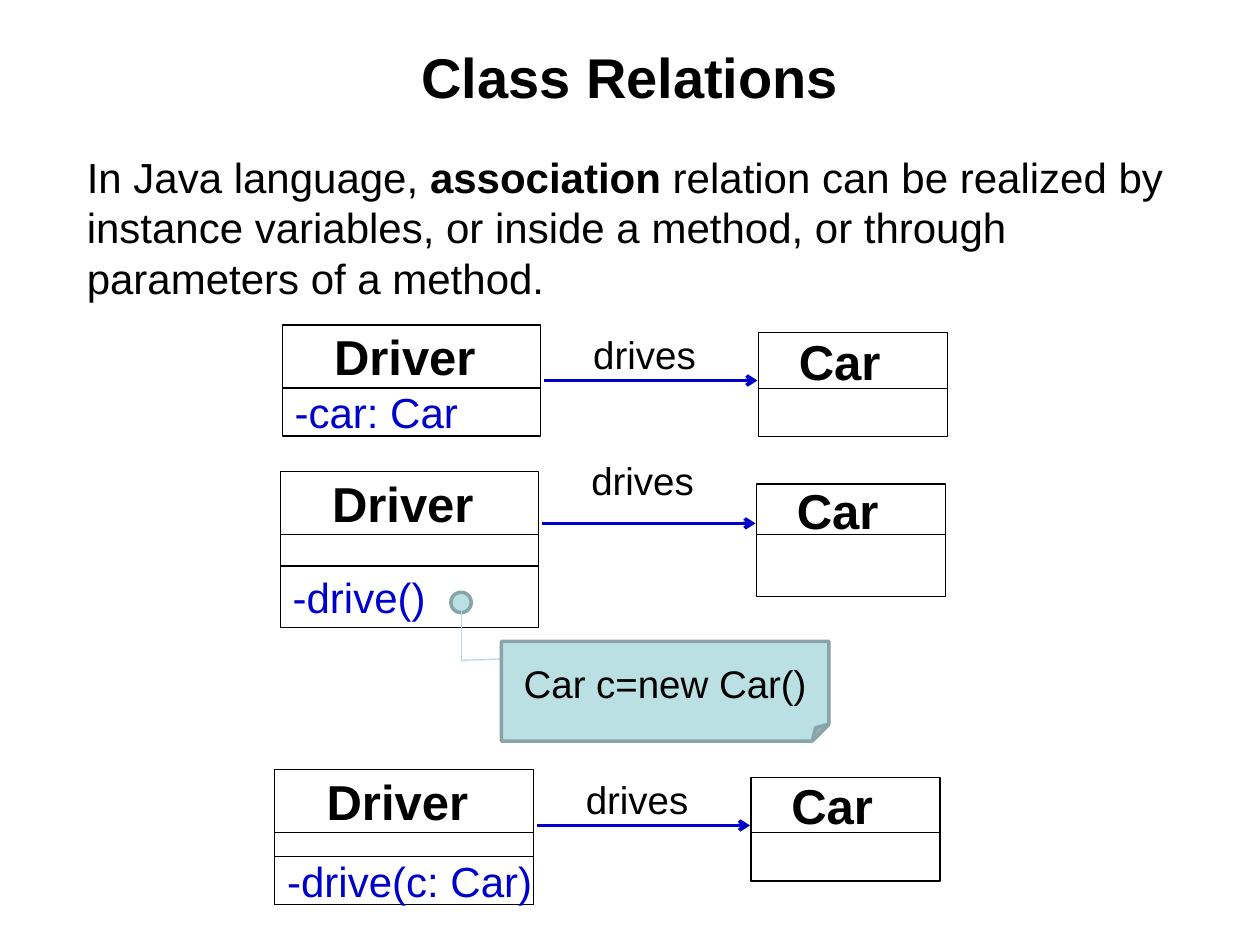
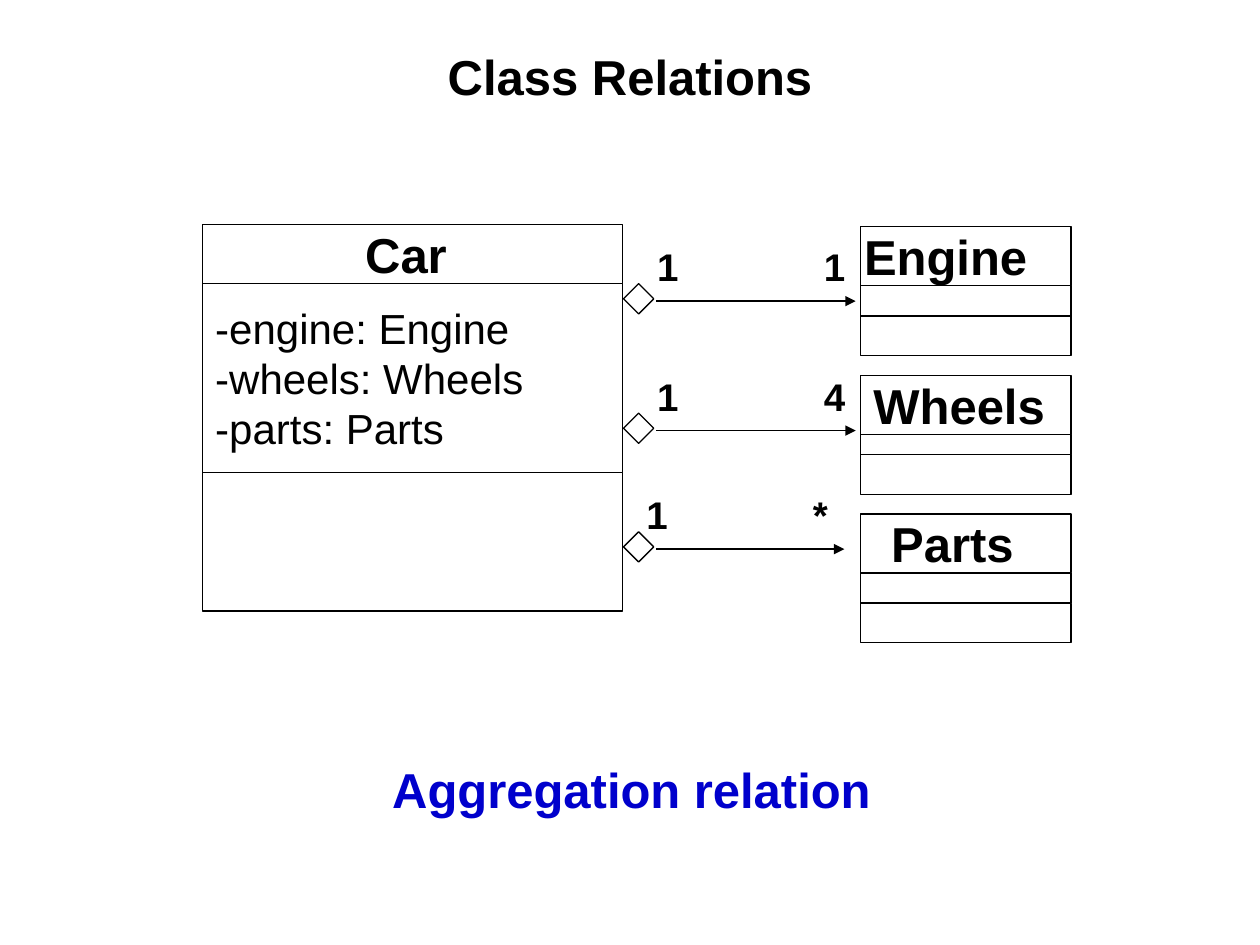
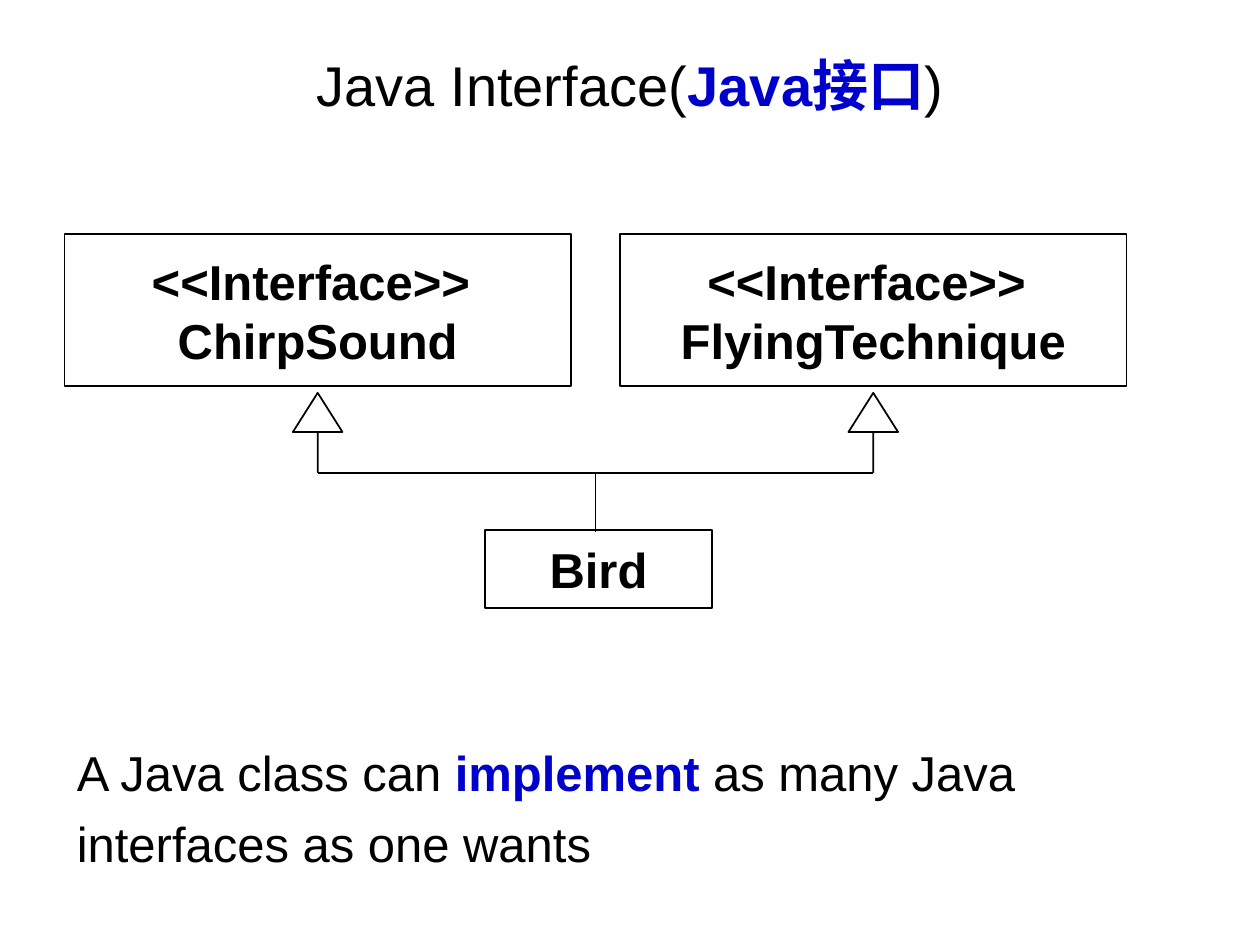
"""Builds three slides on class relations and interfaces in Java."""
from lxml import etree
from pptx import Presentation
from pptx.dml.color import RGBColor
from pptx.enum.shapes import MSO_CONNECTOR as Connector, MSO_SHAPE as Shape
from pptx.enum.text import MSO_ANCHOR as Anchor, PP_ALIGN as Align
from pptx.oxml.ns import qn
from pptx.util import Cm, Pt

FONT = "Arial"
BLACK, WHITE, BLUE = "000000", "FFFFFF", "0000CC"
NOTE_FILL, NOTE_EDGE, NOTE_LINK = "BBE0E3", "89A4A7", "B6DCDF"
SPACE_WIDTH = 0.27

ASSOCIATION = [[("In Java language, ", {}), ("association", {"bold": True}),
                (" relation can be realized by instance variables, or inside a method, "
                 "or through parameters of a method.", {})]]
DRIVES = [
    {"x": 5.69, "driver_y": 6.55, "driver": [("Driver", 1.27), ("-car: Car", 0.97)],
     "car_y": 6.71, "car": [("Car", 1.12), ("", 0.97)], "label_y": 6.55, "arrow_y": 7.67},
    {"x": 5.65, "driver_y": 9.5, "driver": [("Driver", 1.27), ("", 0.64), ("-drive()", 1.24)],
     "car_y": 9.76, "car": [("Car", 1.02), ("", 1.24)], "label_y": 9.09, "arrow_y": 10.55},
    {"x": 5.54, "driver_y": 15.52,
     "driver": [("Driver", 1.27), ("", 0.48), ("-drive(c: Car)", 0.97)],
     "car_y": 15.67, "car": [("Car", 1.12), ("", 0.97)], "label_y": 15.52, "arrow_y": 16.64},
]
WHOLE = [("Car", 1.19), ("-engine: Engine\n-wheels: Wheels\n-parts: Parts", 3.81), ("", 2.8)]
PARTS = [
    {"name": "Engine", "shift": 3, "y": 4.57, "fields": 0.61, "count": "1",
     "diamond_y": 5.72, "label_dx": 0, "arrow_end": 17.25},
    {"name": "Wheels", "shift": 1, "y": 7.57, "fields": 0.41, "count": "4",
     "diamond_y": 8.33, "label_dx": 0, "arrow_end": 17.25},
    {"name": "Parts", "shift": 2, "y": 10.36, "fields": 0.61, "count": "*",
     "diamond_y": 10.72, "label_dx": -0.22, "arrow_end": 17.02},
]
INTERFACES = [("ChirpSound", 1.3), ("FlyingTechnique", 12.5)]
INTERFACE_TITLE = [[("Java Interface(", {}), ("Java接口", {"bold": True, "color": BLUE}),
                    (")", {})]]
IMPLEMENT = [[("A Java class can ", {}), ("implement", {"bold": True, "color": BLUE}),
              (" as many Java", {})],
             [("interfaces as one wants", {})]]


def rgb(color):
    return RGBColor.from_string(color)


def write(shape, text, size=28, color=BLACK, bold=False, align=Align.LEFT,
          anchor=Anchor.TOP, wrap=True, insets=(0.25, 0.13, 0.25, 0.13),
          spacing=None, before=0):
    frame = shape.text_frame
    frame.word_wrap, frame.vertical_anchor = wrap, anchor
    (frame.margin_left, frame.margin_top,
     frame.margin_right, frame.margin_bottom) = [Cm(inset) for inset in insets]
    if isinstance(text, str):
        text = [[(line, {})] for line in text.split("\n")]
    for index, pieces in enumerate(text):
        para = frame.add_paragraph() if index else frame.paragraphs[0]
        para.alignment = align
        if spacing:
            para.line_spacing = spacing
        if index and before:
            para.space_before = Pt(before)
        for words, style in pieces:
            span = para.add_run()
            span.text = words
            span.font.name, span.font.size = FONT, Pt(size)
            span.font.bold = style.get("bold", bold)
            span.font.color.rgb = rgb(style.get("color", color))


def add_text(page, text, x, y, width, height, **style):
    write(page.shapes.add_textbox(Cm(x), Cm(y), Cm(width), Cm(height)), text, **style)


def add_title(page, text, y=0.76, height=1.55, **style):
    add_text(page, text, 1.27, y, 22.86, height, align=Align.CENTER,
             anchor=Anchor.MIDDLE, **style)


def add_box(page, kind, x, y, width, height, fill=WHITE, edge=BLACK, weight=0.75):
    box = page.shapes.add_shape(kind, Cm(x), Cm(y), Cm(width), Cm(height))
    box.shadow.inherit = False
    box.fill.solid()
    box.fill.fore_color.rgb = rgb(fill)
    box.line.color.rgb = rgb(edge)
    box.line.width = Pt(weight)
    return box


def add_line(page, x1, y1, x2, y2, color=BLACK, weight=0.75, head=None):
    line = page.shapes.add_connector(Connector.STRAIGHT, Cm(x1), Cm(y1), Cm(x2), Cm(y2))
    line.line.color.rgb = rgb(color)
    line.line.width = Pt(weight)
    if head:
        etree.SubElement(line.line._get_or_add_ln(), qn("a:tailEnd"), type=head)
    etree.SubElement(line._element.spPr, qn("a:effectLst"))


def add_class(page, rows, x, y, width, shift=1, color=BLACK):
    for index, (text, height) in enumerate(rows):
        box = add_box(page, Shape.RECTANGLE, x, y, width, height)
        if index == 0:
            write(box, text, bold=True, align=Align.CENTER, anchor=Anchor.MIDDLE,
                  insets=(0, 0.13, shift * SPACE_WIDTH, 0.13))
        elif text:
            write(box, text, size=24, color=color, anchor=Anchor.MIDDLE, wrap=False)
        y += height


def build_association(page):
    add_text(page, ASSOCIATION, 1.5, 2.92, 22.61, 3.3, size=24)
    add_title(page, "Class Relations", size=32, bold=True)
    for row in DRIVES:
        x = row["x"]
        add_class(page, row["driver"], x, row["driver_y"], 5.21, color=BLUE)
        add_class(page, row["car"], x + 9.6, row["car_y"], 3.81, shift=2)
        add_text(page, "drives", x + 6.02, row["label_y"], 3.2, 1.19, size=22)
        add_line(page, x + 5.28, row["arrow_y"], x + 9.58, row["arrow_y"],
                 color=BLUE, weight=2, head="arrow")
    add_box(page, Shape.OVAL, 9.09, 11.94, 0.41, 0.41, NOTE_FILL, NOTE_EDGE, 2)
    add_line(page, 9.3, 12.27, 9.3, 13.34, color=NOTE_LINK)
    add_line(page, 9.32, 13.31, 10.29, 13.28, color=NOTE_LINK)
    note = add_box(page, Shape.FOLDED_CORNER, 10.11, 12.93, 6.6, 2.01, NOTE_FILL, NOTE_EDGE, 2)
    write(note, "Car c=new Car()", size=22, align=Align.CENTER, anchor=Anchor.MIDDLE)


def build_aggregation(page):
    add_text(page, "Aggregation relation", 1.3, 15.32, 22.86, 1.3, color=BLUE, bold=True,
             align=Align.CENTER, spacing=0.8, insets=(0.25, 0.23, 0.25, 0.13))
    add_title(page, "Class Relations", bold=True)
    add_class(page, WHOLE, 4.09, 4.52, 8.46)
    for part in PARTS:
        rows = [(part["name"], 1.19), ("", part["fields"]), ("", 0.8)]
        add_class(page, rows, 17.35, part["y"], 4.24, shift=part["shift"])
        top = part["diamond_y"]
        add_box(page, Shape.DIAMOND, 12.57, top, 0.61, 0.61)
        add_line(page, 13.23, top + 0.35, part["arrow_end"], top + 0.35, head="triangle")
        for count, x in (("1", 13), (part["count"], 16.36)):
            add_text(page, count, x + part["label_dx"], top - 0.95, 1.12, 1.19,
                     size=22, bold=True)


def build_interface(page):
    add_text(page, IMPLEMENT, 1.3, 14.73, 23.47, 3.4, before=7,
             insets=(0.25, 0.23, 0.25, 0.13))
    bird = add_box(page, Shape.RECTANGLE, 9.78, 10.69, 4.57, 1.57, weight=1)
    write(bird, "Bird", bold=True, align=Align.CENTER, anchor=Anchor.MIDDLE)
    width, bar_y = 10.21, 9.53
    centers = [x + width / 2 for _, x in INTERFACES]
    add_line(page, centers[0], bar_y, centers[1], bar_y, weight=1)
    middle = sum(centers) / 2
    add_line(page, middle, 10.72, middle, bar_y, weight=1)
    for (name, x), center in zip(INTERFACES, centers):
        box = add_box(page, Shape.RECTANGLE, x, 4.72, width, 3.07, weight=1)
        write(box, f"<<Interface>> \n{name}", bold=True, align=Align.CENTER,
              anchor=Anchor.MIDDLE, wrap=False)
        arrow = add_box(page, Shape.UP_ARROW, center - 0.5, 7.92, 1, 1.6, weight=1)
        arrow.adjustments[0], arrow.adjustments[1] = 0, 0.79
    add_title(page, INTERFACE_TITLE, y=0.71, height=1.96, size=32)


def main():
    deck = Presentation()
    deck.slide_width, deck.slide_height = Cm(25.4), Cm(19.05)
    for build in (build_association, build_aggregation, build_interface):
        build(deck.slides.add_slide(deck.slide_layouts[6]))
    deck.save("out.pptx")


if __name__ == "__main__":
    main()
